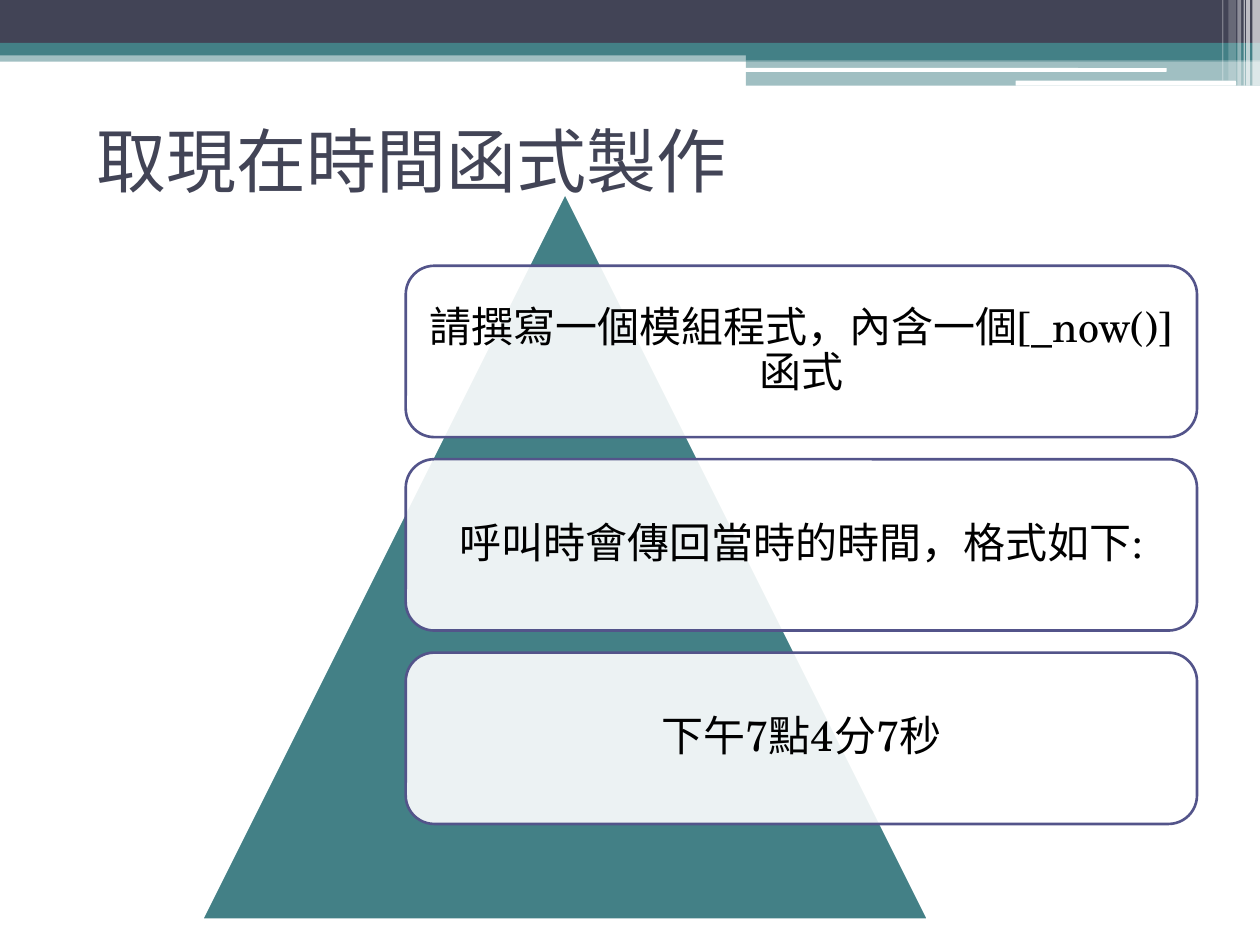
import dataclasses

import lxml.etree
import pptx
import pptx.dml.color
import pptx.enum.shapes
import pptx.enum.text
import pptx.oxml.ns
import pptx.util

COLUMNS, ROWS = 100, 75
CELL = pptx.util.Inches(0.1)
SHAPES = pptx.enum.shapes.MSO_SHAPE
ALIGN = pptx.enum.text.PP_ALIGN
MIDDLE = pptx.enum.text.MSO_ANCHOR.MIDDLE


@dataclasses.dataclass(frozen=True)
class Theme:
    dark: str = "424456"
    teal: str = "438086"
    violet: str = "53548A"
    white: str = "FFFFFF"
    black: str = "000000"
    title_font: str = "Lato"
    body_font: str = "TeX Gyre Schola"
    title_size: int = 40
    body_size: int = 24
    outline: float = 1.5


THEME = Theme()

# Each band: left, top, width, height in grid cells, colour, opacity in percent
BANDS = [
    (0, 4, 100, 0.9, THEME.teal, 50),
    (0, 0, 100, 3.4, THEME.dark, 100),
    (0, 3.4, 100, 1, THEME.teal, 100),
    (59.2, 3.9, 40.8, 0.9, THEME.teal, 100),
    (59.2, 4.8, 40.8, 2, THEME.teal, 50),
]
WHITE_BARS = [(59.1, 5.4, 33.5, 0.3), (80.6, 6.4, 17.5, 0.4)]
# Each stripe: left, width, height in grid cells, opacity in percent
STRIPES = [
    (99.4, 0.6, 6.8, 65),
    (98.9, 0.3, 6.8, 65),
    (98.7, 0.1, 6.8, 60),
    (98.2, 0.3, 6.8, 40),
    (97.5, 0.6, 6.4, 20),
    (97, 0.1, 6.4, 30),
]
STEPS = [
    "請撰寫一個模組程式，內含一個[_now()]函式",
    "呼叫時會傳回當時的時間，格式如下:",
    "下午7點4分7秒",
]
STEP_LEFT, STEP_TOP, STEP_WIDTH, STEP_HEIGHT, STEP_PITCH = 32.2, 21.1, 62.8, 13.6, 15.35


def cells(*lengths):
    return [round(length * CELL) for length in lengths]


def set_values(target, values):
    for name, value in values.items():
        setattr(target, name, value)


def colour(code):
    return pptx.dml.color.RGBColor.from_string(code)


def add_block(page, kind, place, fill, opacity=100, outline=None):
    """Add a preset shape at a place given in grid cells."""
    block = page.shapes.add_shape(kind, *cells(*place))
    block.shadow.inherit = False
    block.fill.solid()
    block.fill.fore_color.rgb = colour(fill)
    if opacity < 100:
        tint = block.fill._xPr.find(".//" + pptx.oxml.ns.qn("a:srgbClr"))
        alpha = lxml.etree.SubElement(tint, pptx.oxml.ns.qn("a:alpha"))
        alpha.set("val", str(opacity * 1000))
    if outline:
        block.line.color.rgb = colour(outline)
        block.line.width = pptx.util.Pt(THEME.outline)
    else:
        block.line.fill.background()
    return block


def write_text(box, words, font, frame_format, para_format):
    set_values(box.text_frame, {"word_wrap": True, "vertical_anchor": MIDDLE, **frame_format})
    para = box.text_frame.paragraphs[0]
    set_values(para, para_format)
    span = para.add_run()
    span.text = words
    name, size, code = font
    set_values(span.font, {"name": name, "size": pptx.util.Pt(size)})
    span.font.color.rgb = colour(code)


def add_header(page):
    for *place, fill, opacity in BANDS:
        add_block(page, SHAPES.RECTANGLE, place, fill, opacity)
    for place in WHITE_BARS:
        add_block(page, SHAPES.ROUNDED_RECTANGLE, place, THEME.white)
    for left, width, height, opacity in STRIPES:
        add_block(page, SHAPES.RECTANGLE, (left, 0, width, height), THEME.white, opacity)


def add_title(page, words):
    box = page.shapes.add_textbox(*cells(6.7, 6.8, 90, 11.7))
    font = (THEME.title_font, THEME.title_size, THEME.dark)
    write_text(box, words, font, {}, {"alignment": ALIGN.LEFT})


def add_step(page, row, words):
    place = (STEP_LEFT, STEP_TOP + row * STEP_PITCH, STEP_WIDTH, STEP_HEIGHT)
    box = add_block(page, SHAPES.ROUNDED_RECTANGLE, place, THEME.white, 90, THEME.violet)
    # The rounded corners already inset the text, so the margins stay small.
    sides = ("margin_left", "margin_top", "margin_right", "margin_bottom")
    margins = dict.fromkeys(sides, pptx.util.Inches(0.03))
    font = (THEME.body_font, THEME.body_size, THEME.black)
    write_text(box, words, font, margins, {"alignment": ALIGN.CENTER, "line_spacing": 0.9})


def main():
    deck = pptx.Presentation()
    set_values(deck, {"slide_width": COLUMNS * CELL, "slide_height": ROWS * CELL})
    page = deck.slides.add_slide(deck.slide_layouts[6])
    add_header(page)
    add_title(page, "取現在時間函式製作")
    add_block(page, SHAPES.ISOSCELES_TRIANGLE, (16, 15.3, 57.7, 57.7), THEME.teal,
              outline=THEME.white)
    for row, words in enumerate(STEPS):
        add_step(page, row, words)
    deck.save("out.pptx")


if __name__ == "__main__":
    main()
